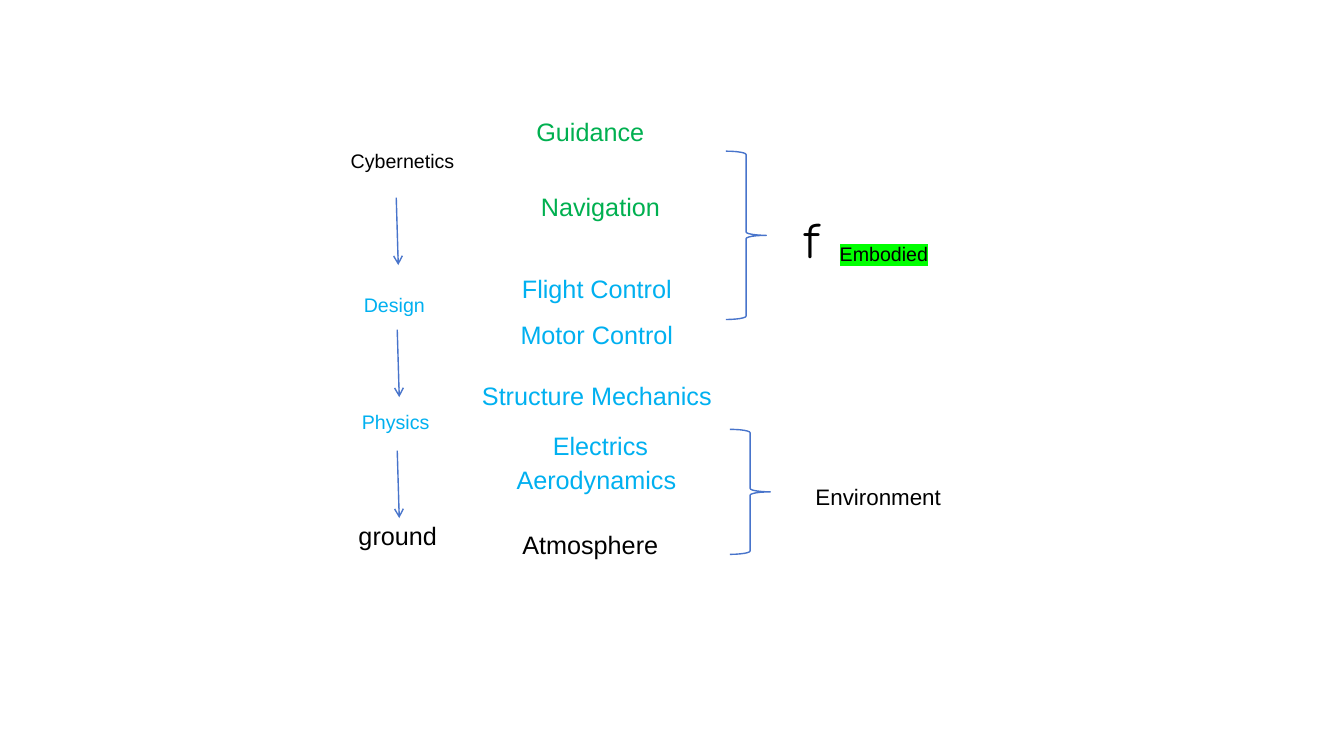
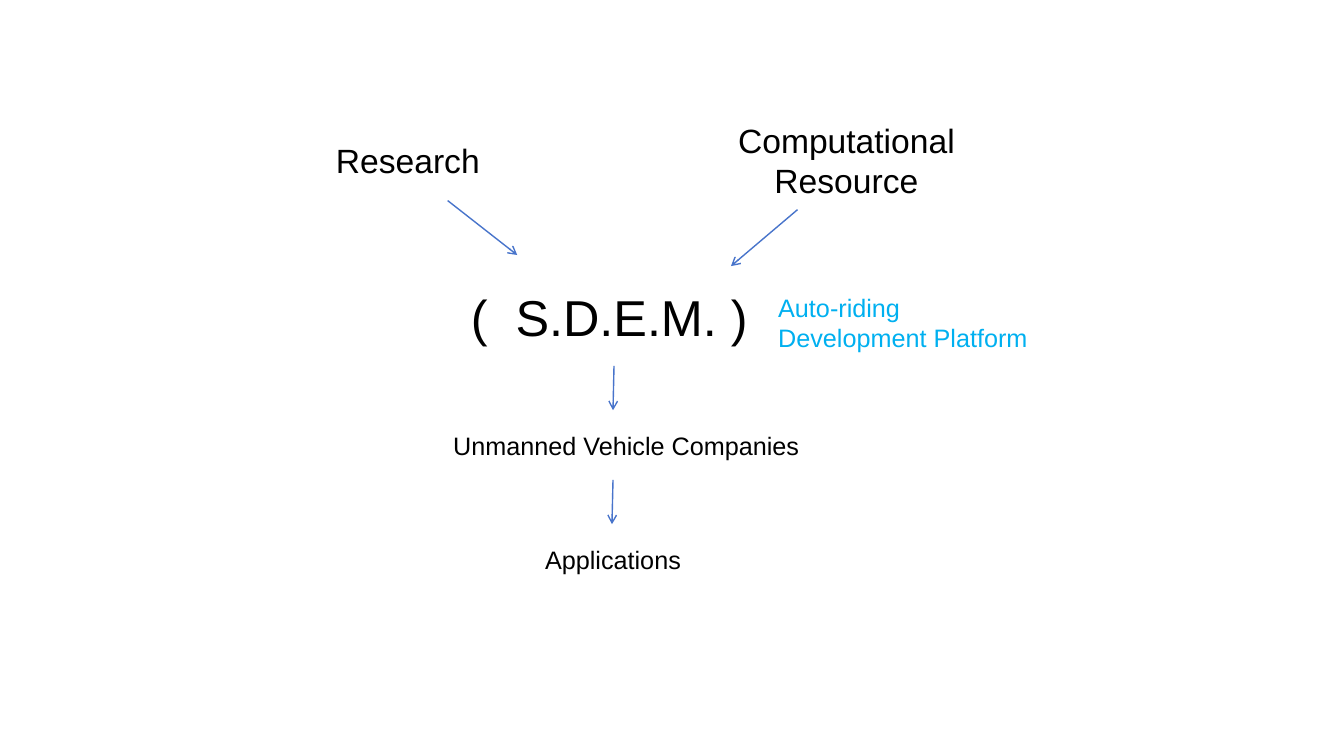
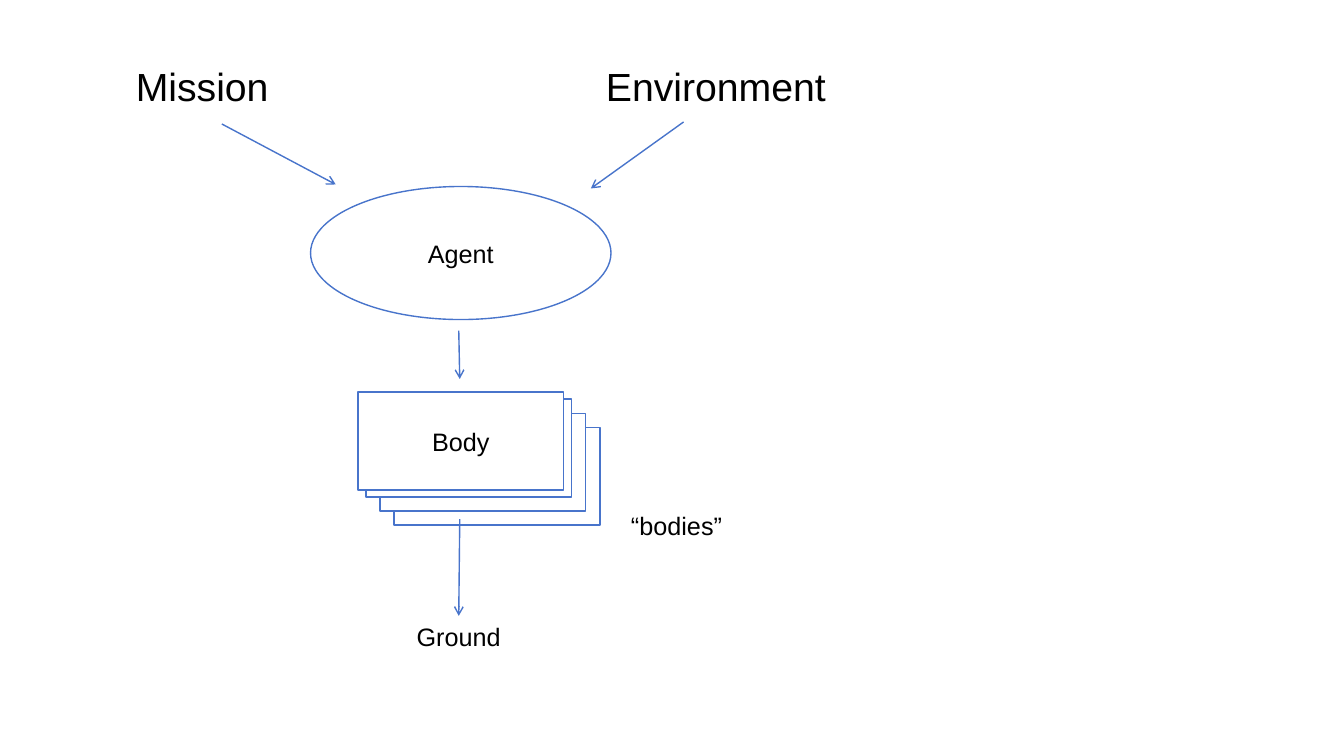
from lxml import etree
from pptx import Presentation
from pptx.dml.color import RGBColor
from pptx.enum.shapes import MSO_CONNECTOR as Connector, MSO_SHAPE as Shape
from pptx.enum.text import MSO_ANCHOR as Anchor, MSO_AUTO_SIZE as AutoSize, PP_ALIGN as Align
from pptx.oxml.ns import qn
from pptx.util import Inches, Pt

COLORS = {
    "text": "000000",
    "green": "00B050",
    "blue": "00B0F0",
    "line": "4874CB",
    "white": "FFFFFF",
    "highlight": "00FF00",
}
FONT = "Arial"
TITLE_ONLY, BLANK = 5, 6


def rgb(name):
    return RGBColor.from_string(COLORS[name])


def write(shape, text, size, color="text", align=Align.CENTER, font=FONT):
    """Put styled text into any shape."""
    frame = shape.text_frame
    frame.word_wrap = True
    frame.text = text
    for paragraph in frame.paragraphs:
        paragraph.alignment = align
        for run in paragraph.runs:
            run.font.size = Pt(size)
            run.font.name = font
            run.font.color.rgb = rgb(color)


def add_title(slide, text, box, align=Align.CENTER, font=FONT):
    title = slide.shapes.title
    title.left, title.top, title.width, title.height = map(Inches, box)
    write(title, text, 36, align=align, font=font)
    title.text_frame.vertical_anchor = Anchor.MIDDLE


def add_label(slide, text, box, size=18, color="text", align=Align.CENTER):
    label = slide.shapes.add_textbox(*map(Inches, box))
    write(label, text, size, color, align)
    label.text_frame.auto_size = AutoSize.SHAPE_TO_FIT_TEXT
    return label


def highlight(label):
    for run in label.text_frame.paragraphs[0].runs:
        fill = run.font._element.find(qn("a:solidFill"))
        mark = etree.Element(qn("a:highlight"))
        etree.SubElement(mark, qn("a:srgbClr"), val=COLORS["highlight"])
        fill.addnext(mark)


def add_outline(slide, kind, box, fill=None, text=None):
    shape = slide.shapes.add_shape(kind, *map(Inches, box))
    shape.shadow.inherit = False
    shape.line.color.rgb = rgb("line")
    shape.line.width = Pt(1)
    if fill:
        shape.fill.solid()
        shape.fill.fore_color.rgb = rgb(fill)
    else:
        shape.fill.background()
    if text:
        write(shape, text, 18)
        shape.text_frame.vertical_anchor = Anchor.MIDDLE
    return shape


def add_arrow(slide, start, end):
    arrow = slide.shapes.add_connector(Connector.STRAIGHT, *map(Inches, start + end))
    arrow.line.color.rgb = rgb("line")
    arrow.line.width = Pt(1)
    etree.SubElement(arrow.line._get_or_add_ln(), qn("a:tailEnd"), type="arrow")
    etree.SubElement(arrow._element.spPr, qn("a:effectLst"))
    return arrow


def build_layers(presentation):
    slide = presentation.slides.add_slide(presentation.slide_layouts[TITLE_ONLY])
    add_title(slide, "f", (7.88, 1.76, 1.16, 1.2), Align.LEFT, "Comic Neue")

    # Disciplines from cybernetics down to the ground
    for text, left, top, color in (
        ("Cybernetics", 3.38, 1.43, "text"),
        ("Design", 3.51, 2.86, "blue"),
        ("Physics", 3.49, 4.02, "blue"),
    ):
        add_label(slide, text, (left, top, 1.53, 0.34), 14, color, Align.LEFT)
    add_label(slide, "ground", (2.83, 5.11, 2.23, 0.4))
    for left, top in ((3.93, 1.96), (3.94, 3.27), (3.94, 4.47)):
        add_arrow(slide, (left, top), (left + 0.02, top + 0.67))

    # Layers of the vehicle
    for text, left, top, width, color in (
        ("Guidance", 4.89, 1.11, 1.93, "green"),
        ("Navigation", 4.99, 1.85, 1.93, "green"),
        ("Flight Control", 4.65, 2.66, 2.54, "blue"),
        ("Motor Control", 4.65, 3.12, 2.54, "blue"),
        ("Structure Mechanics", 4.65, 3.72, 2.54, "blue"),
        ("Electrics", 4.99, 4.22, 1.93, "blue"),
        ("Aerodynamics", 4.95, 4.56, 1.93, "blue"),
        ("Atmosphere", 4.89, 5.2, 1.93, "text"),
    ):
        add_label(slide, text, (left, top, width, 0.4), color=color)

    # Braces and what they group
    add_outline(slide, Shape.RIGHT_BRACE, (7.2, 1.5, 0.4, 1.67))
    add_outline(slide, Shape.RIGHT_BRACE, (7.24, 4.26, 0.4, 1.24))
    highlight(add_label(slide, "Embodied", (8.23, 2.35, 1.53, 0.34), 14, align=Align.LEFT))
    add_label(slide, "Environment", (7.99, 4.74, 1.53, 0.37), 16, align=Align.LEFT)


def build_platform(presentation):
    slide = presentation.slides.add_slide(presentation.slide_layouts[TITLE_ONLY])
    add_title(slide, "(  S.D.E.M. )", (3.92, 2.05, 4.25, 2.17))

    # Inputs
    add_label(slide, "Research", (2.68, 1.34, 2.73, 0.5), 24)
    add_label(slide, "Computational Resource", (7.03, 1.14, 2.73, 0.91), 24)
    add_arrow(slide, (4.44, 1.99), (5.13, 2.53))
    add_arrow(slide, (7.91, 2.08), (7.25, 2.64))

    # Platform name and users
    add_label(slide, "Auto-riding\nDevelopment Platform", (7.62, 2.85, 4.44, 0.71),
              color="blue", align=Align.LEFT)
    add_label(slide, "Unmanned Vehicle Companies", (3.99, 4.22, 4.44, 0.4))
    add_label(slide, "Applications", (3.86, 5.35, 4.44, 0.4))
    add_arrow(slide, (6.09, 3.63), (6.08, 4.07))
    add_arrow(slide, (6.08, 4.76), (6.07, 5.2))


def build_agent(presentation):
    slide = presentation.slides.add_slide(presentation.slide_layouts[BLANK])

    # Inputs and agent
    add_label(slide, "Mission", (1, 0.57, 2.01, 0.57), 28)
    add_label(slide, "Environment", (5.45, 0.57, 3.3, 0.57), 28)
    add_outline(slide, Shape.OVAL, (3.08, 1.85, 2.98, 1.32), text="Agent")
    add_arrow(slide, (2.2, 1.23), (3.33, 1.83))
    add_arrow(slide, (6.78, 1.21), (5.86, 1.87))
    add_arrow(slide, (4.55, 3.28), (4.56, 3.76))

    # Stack of bodies, rearmost first
    for step in (2, 1, 0):
        shift = 0.14 * step
        add_outline(slide, Shape.RECTANGLE, (3.63 + shift, 3.96 + shift, 2.04, 0.97), "white")
    add_outline(slide, Shape.RECTANGLE, (3.55, 3.89, 2.04, 0.97), "white", "Body")
    add_label(slide, "“bodies”", (6.16, 5.01, 4.44, 0.4), align=Align.LEFT)

    # Ground
    ground = add_label(slide, "Ground", (2.33, 6.11, 4.44, 0.4))
    ground.text_frame.vertical_anchor = Anchor.MIDDLE
    add_arrow(slide, (4.56, 5.15), (4.55, 6.11)).end_connect(ground, 0)


def main():
    presentation = Presentation()
    presentation.slide_width = Inches(13.33)
    presentation.slide_height = Inches(7.5)
    build_layers(presentation)
    build_platform(presentation)
    build_agent(presentation)
    presentation.save("out.pptx")


if __name__ == "__main__":
    main()
